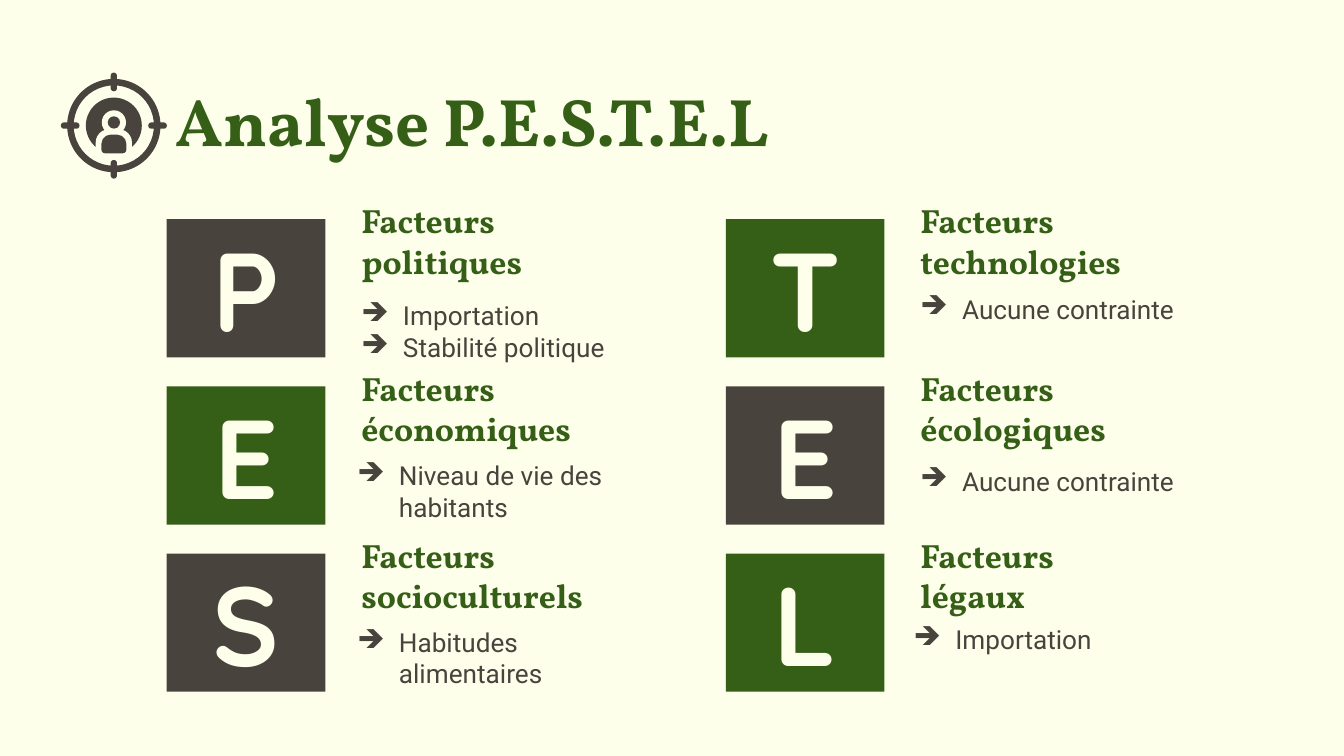
from dataclasses import dataclass

from lxml.etree import SubElement
from pptx import Presentation
from pptx.dml.color import RGBColor
from pptx.enum.shapes import MSO_SHAPE
from pptx.enum.text import MSO_ANCHOR, PP_ALIGN
from pptx.oxml.ns import qn
from pptx.util import Pt


@dataclass(frozen=True)
class Theme:
    paper: str = "FDFFEB"
    green: str = "355F16"
    dark: str = "49433D"
    serif: str = "Vollkorn"
    sans: str = "Roboto"
    round: str = "Quicksand"
    title: int = 36
    head: int = 18
    body: int = 14
    letter: int = 60


THEME = Theme()
LEFT, TOP = 89.3, 117.4
COL_STEP, ROW_STEP = 299.5, 89.6
TILE_W, TILE_H = 85, 74
INDENT = 22.3

# Each column lists letter, heading, facts and the offset of the facts
# from the tile's corner.
COLUMNS = [
    [
        ("P", "Facteurs politiques", ["Importation", "Stabilité politique"], (97.2, 36)),
        ("E", "Facteurs économiques", ["Niveau de vie des habitants"], (95, 32)),
        ("S", "Facteurs socioculturels", ["Habitudes alimentaires"], (95, 31.7)),
    ],
    [
        ("T", "Facteurs technologies", ["Aucune contrainte"], (97.2, 32.4)),
        ("E", "Facteurs écologiques", ["Aucune contrainte"], (97.2, 34.9)),
        ("L", "Facteurs légaux", ["Importation"], (93.6, 30.3)),
    ],
]


def add_arrow(para):
    """Give a paragraph a hanging arrow bullet."""
    props = para._p.get_or_add_pPr()
    props.set("marL", str(Pt(INDENT)))
    props.set("indent", str(-Pt(INDENT)))
    tint = SubElement(props, qn("a:buClr"))
    SubElement(tint, qn("a:srgbClr")).set("val", THEME.dark)
    SubElement(props, qn("a:buChar")).set("char", "➔")


def add_text(slide, lines, box, *, font, size, color, bold=False,
             align=PP_ALIGN.LEFT, anchor=MSO_ANCHOR.TOP, pad=7.2, arrow=False):
    frame = slide.shapes.add_textbox(*map(Pt, box)).text_frame
    frame.word_wrap = True
    frame.vertical_anchor = anchor
    frame.margin_left = frame.margin_right = Pt(7.2)
    frame.margin_top = frame.margin_bottom = Pt(pad)
    for i, line in enumerate(lines):
        para = frame.add_paragraph() if i else frame.paragraphs[0]
        para.alignment = align
        if arrow:
            add_arrow(para)
        run = para.add_run()
        run.text = line
        run.font.name = font
        run.font.size = Pt(size)
        run.font.bold = bold
        run.font.color.rgb = RGBColor.from_string(color)


def add_form(slide, kind, box, color, *adjust):
    form = slide.shapes.add_shape(kind, *map(Pt, box))
    form.shadow.inherit = False
    form.fill.solid()
    form.fill.fore_color.rgb = RGBColor.from_string(color)
    form.line.fill.background()
    for i, value in enumerate(adjust):
        form.adjustments[i] = value


def add_target(slide, x, y):
    """Draw a person in a crosshair centred on x, y."""
    def part(kind, dx, dy, w, h, color, *adjust):
        box = (x + dx - w / 2, y + dy - h / 2, w, h)
        add_form(slide, kind, box, color, *adjust)

    part(MSO_SHAPE.DONUT, 0, 0, 50, 50, THEME.dark, 0.07)
    for side in (-1, 1):
        reach = side * 23.4
        part(MSO_SHAPE.ROUNDED_RECTANGLE, reach, 0, 10, 3.4, THEME.dark, 0.5)
        part(MSO_SHAPE.ROUNDED_RECTANGLE, 0, reach, 3.4, 10, THEME.dark, 0.5)
    part(MSO_SHAPE.OVAL, 0, 0, 30, 30, THEME.dark)
    part(MSO_SHAPE.OVAL, 0, -1.7, 13, 13, THEME.paper)
    part(MSO_SHAPE.ROUND_2_SAME_RECTANGLE, 0, 9, 19.4, 14, THEME.paper, 0.5, 0)
    part(MSO_SHAPE.OVAL, 0, -1.7, 6.6, 6.6, THEME.dark)
    part(MSO_SHAPE.ROUND_2_SAME_RECTANGLE, 0, 9.8, 13.4, 10, THEME.dark, 0.5, 0.2)


def add_factor(slide, x, y, color, factor):
    letter, head, facts, (dx, dy) = factor
    add_form(slide, MSO_SHAPE.RECTANGLE, (x, y, TILE_W, TILE_H), color)
    add_text(slide, [letter], (x + 15, y - 3, 55.4, 80), font=THEME.round,
             size=THEME.letter, color=THEME.paper, bold=True,
             align=PP_ALIGN.CENTER, pad=3.6)
    add_text(slide, [head], (x + 97.2, y + 8.6, 144.7, 31.7), font=THEME.serif,
             size=THEME.head, color=THEME.green, bold=True,
             anchor=MSO_ANCHOR.BOTTOM)
    add_text(slide, facts, (x + dx, y + dy, 165, 41.8), font=THEME.sans,
             size=THEME.body, color=THEME.dark, arrow=True)


def main():
    deck = Presentation()
    deck.slide_width, deck.slide_height = Pt(720), Pt(405)
    slide = deck.slides.add_slide(deck.slide_layouts[6])
    fill = slide.background.fill
    fill.solid()
    fill.fore_color.rgb = RGBColor.from_string(THEME.paper)

    add_target(slide, 61, 67.3)
    add_text(slide, ["Analyse P.E.S.T.E.L"], (87.1, 35.3, 338.4, 45.4),
             font=THEME.serif, size=THEME.title, color=THEME.green, bold=True)
    for col, factors in enumerate(COLUMNS):
        for row, factor in enumerate(factors):
            color = THEME.green if (col + row) % 2 else THEME.dark
            add_factor(slide, LEFT + col * COL_STEP, TOP + row * ROW_STEP,
                       color, factor)
    deck.save("out.pptx")


if __name__ == "__main__":
    main()
